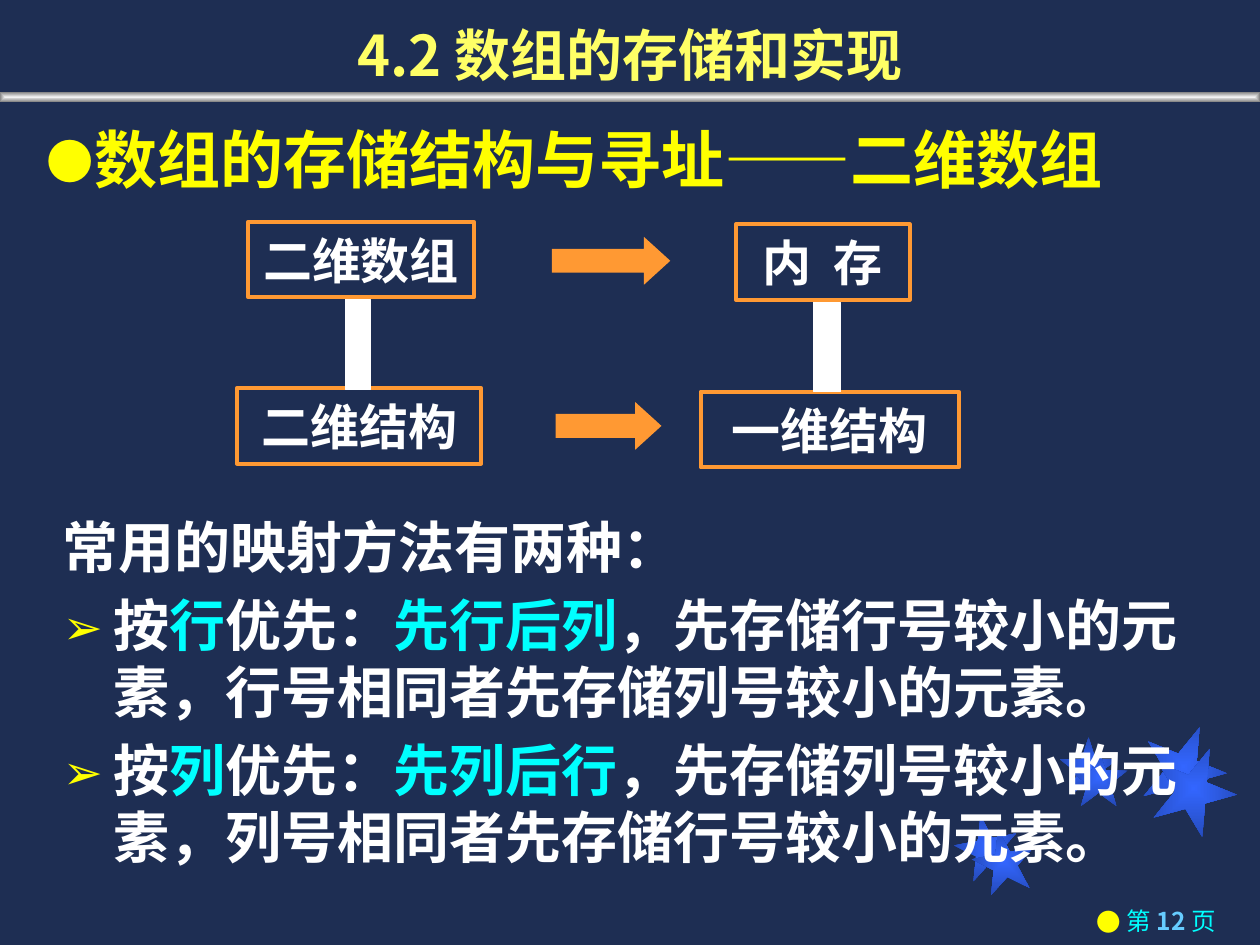
"""Build the slide on storing two-dimensional arrays in memory."""
from lxml import etree
from pptx import Presentation
from pptx import util as u
from pptx.dml.color import RGBColor
from pptx.enum import shapes, text
from pptx.oxml.ns import qn

COLORS = {
    "background": "1E2E53", "title": "FFFF66", "yellow": "FFFF00", "cyan": "00FFFF",
    "white": "FFFFFF", "orange": "FF9933", "number": "66CCFF", "star": "3366FF",
    "star_edge": "2449B6", "bar": "F2F2F2", "bar_edge": "808080",
}
SANS = "Noto Sans CJK SC"


def add_block(kind, area, fill=None, line=None, width=0.5, edge=None):
    """Add a shape with a plain, gradient or empty fill."""
    block = page.shapes.add_shape(kind, *map(u.Inches, area))
    block.shadow.inherit = False
    if edge:
        block.fill.gradient()
        for stop, name in zip(block.fill.gradient_stops, (fill, edge)):
            stop.color.rgb = RGBColor.from_string(COLORS[name])
        gradient = block._element.spPr.find(qn("a:gradFill"))
        gradient.remove(gradient.find(qn("a:lin")))
        shade = etree.SubElement(gradient, qn("a:path"), {"path": "shape"})
        etree.SubElement(shade, qn("a:fillToRect"), dict.fromkeys("ltrb", "50000"))
    elif fill:
        block.fill.solid()
        block.fill.fore_color.rgb = RGBColor.from_string(COLORS[fill])
    else:
        block.fill.background()
    if line:
        block.line.color.rgb = RGBColor.from_string(COLORS[line])
        block.line.width = u.Pt(width)
    else:
        block.line.fill.background()
    return block


def write(para, spans, size, font, bullet=None, percent=100, hang=0):
    """Fill a paragraph with (text, color, bold) spans and an optional bullet."""
    props = para._p.get_or_add_pPr()
    props.set("marL", str(u.Inches(hang)))
    props.set("indent", str(-u.Inches(hang)))
    if bullet:
        tint = etree.SubElement(props, qn("a:buClr"))
        etree.SubElement(tint, qn("a:srgbClr"), {"val": COLORS["yellow"]})
        etree.SubElement(props, qn("a:buSzPct"), {"val": str(percent * 1000)})
        etree.SubElement(props, qn("a:buFont"), {"typeface": SANS})
        etree.SubElement(props, qn("a:buChar"), {"char": bullet})
    else:
        etree.SubElement(props, qn("a:buNone"))
    for words, color, bold in spans:
        span = para.add_run()
        span.text = words
        span.font.size = u.Pt(size)
        span.font.bold = bold
        span.font.name = font
        span.font.color.rgb = RGBColor.from_string(COLORS[color])
        latin = span._r.rPr.find(qn("a:latin"))
        latin.addnext(etree.Element(qn("a:ea"), {"typeface": SANS}))


deck = Presentation()
deck.slide_width, deck.slide_height = u.Inches(10), u.Inches(7.5)
page = deck.slides.add_slide(deck.slide_layouts[1])
page.background.fill.solid()
page.background.fill.fore_color.rgb = RGBColor.from_string(COLORS["background"])

stars = [
    (7.58, 6.47, 0.5, 349), (8.41, 5.85, 0.46, 0), (9.06, 5.75, 0.67, 22),
    (7.72, 6.58, 0.5, 349), (8.49, 5.94, 0.46, 0), (9.14, 5.92, 0.67, 22),
]
for left, top, side, angle in stars:
    star = add_block(shapes.MSO_SHAPE.STAR_5_POINT, (left, top, side, side), "star", edge="star_edge")
    star.rotation = angle
add_block(shapes.MSO_SHAPE.RECTANGLE, (0, 0.73, 10, 0.08), "bar", edge="bar_edge")

title, body = page.shapes.title, page.placeholders[1]
for holder, area, anchor in (
    (title, (0, 0, 10, 0.75), text.MSO_ANCHOR.BOTTOM),
    (body, (0.27, 0.85, 9.4, 0.89), text.MSO_ANCHOR.TOP),
):
    holder.left, holder.top, holder.width, holder.height = map(u.Inches, area)
    holder.text_frame.auto_size = text.MSO_AUTO_SIZE.NONE
    holder.text_frame.vertical_anchor = anchor
    holder.text_frame.paragraphs[0].space_before = u.Pt(0)
heading = title.text_frame.paragraphs[0]
heading.alignment = text.PP_ALIGN.CENTER
write(heading, [("4.2 数组的存储和实现", "title", True)], 32, SANS)
topic = body.text_frame.paragraphs[0]
topic.line_spacing = 1.1
write(topic, [("数组的存储结构与寻址——二维数组", "yellow", True)], 36, "Arial", "●", 75, 0.38)

methods = page.shapes.add_textbox(*map(u.Inches, (0.4, 4.02, 9.23, 2.98))).text_frame
methods.word_wrap = True
write(methods.paragraphs[0], [("常用的映射方法有两种：", "white", True)], 32, "Times New Roman", hang=0.4)
for first, second in ("行列", "列行"):
    para = methods.add_paragraph()
    para.space_before = u.Pt(6)
    write(para, [
        ("按", "white", True), (first, "cyan", True), ("优先：", "white", True),
        (f"先{first}后{second}", "cyan", True),
        (f"，先存储{first}号较小的元素，{first}号相同者先存储{second}号较小的元素。", "white", True),
    ], 32, "Times New Roman", "➢", 85, 0.4)

for label, area in (
    ("二维数组", (1.97, 1.76, 1.79, 0.6)), ("内  存", (5.84, 1.78, 1.38, 0.6)),
    ("二维结构", (1.88, 3.08, 1.94, 0.6)), ("一维结构", (5.56, 3.11, 2.05, 0.6)),
):
    box = add_block(shapes.MSO_SHAPE.RECTANGLE, area, line="orange", width=2.25)
    box.text_frame.word_wrap = False
    para = box.text_frame.paragraphs[0]
    para.alignment = text.PP_ALIGN.CENTER
    write(para, [(label, "white", True)], 28, "Arial")
for area in ((4.38, 1.88, 0.94, 0.38), (4.41, 3.19, 0.84, 0.38)):
    arrow = add_block(shapes.MSO_SHAPE.RIGHT_ARROW, area, "orange")
    arrow.adjustments[0], arrow.adjustments[1] = 0.5, 0.55
for area in ((2.74, 2.38, 0.2, 0.71), (6.46, 2.4, 0.21, 0.71)):
    add_block(shapes.MSO_SHAPE.RECTANGLE, area, "white", "white")

footer = page.shapes.add_textbox(*map(u.Inches, (7.12, 7.14, 2.63, 0.36))).text_frame
footer.word_wrap = True
para = footer.paragraphs[0]
para.alignment = text.PP_ALIGN.RIGHT
write(para, [("第 ", "cyan", False), ("12 ", "number", True), ("页", "cyan", False)], 14, SANS, "●", 100, 0.24)

deck.save("out.pptx")
